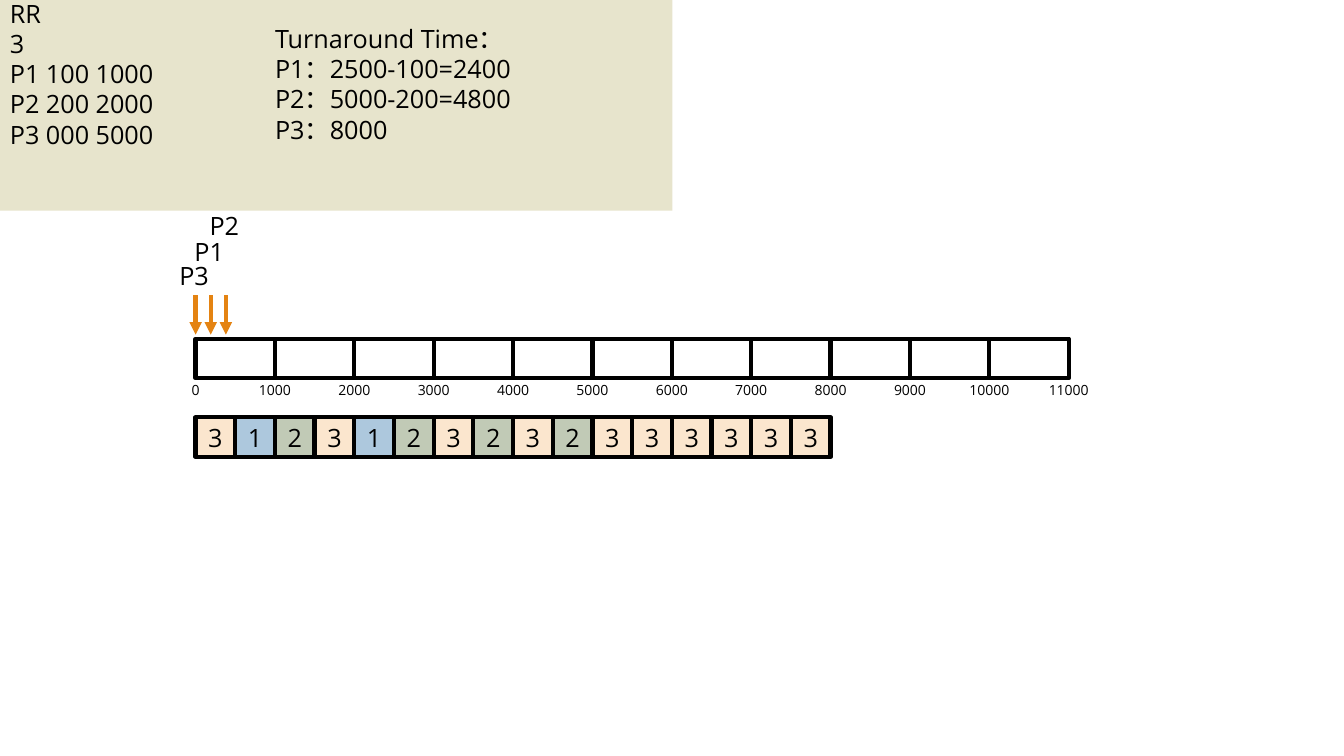
from lxml import etree
from pptx import Presentation
from pptx.dml.color import RGBColor
from pptx.enum.shapes import MSO_CONNECTOR, MSO_SHAPE
from pptx.enum.text import MSO_ANCHOR, MSO_AUTO_SIZE, PP_ALIGN
from pptx.oxml.ns import qn
from pptx.util import Inches, Pt

# Content
JOBS = ["RR", "3", "P1 100 1000", "P2 200 2000", "P3 000 5000"]
TURNAROUND = ["Turnaround Time：", "P1：2500-100=2400", "P2：5000-200=4800", "P3：8000"]
ARRIVALS = [("P3", 2.53), ("P1", 2.3), ("P2", 2.04)]  # process, label top
SCHEDULE = "3123123232333333"
TICK_COUNT, TICK_TIME = 11, 1000

THEME = {
    "font": "Open Sans", "text": "000000", "line": "000000",
    "panel": "E7E4CC", "arrow": "E48312",
    "process": {"1": "ADC8DD", "2": "C1CAB6", "3": "FBE6CE"},
    "body_size": 18, "tick_size": 10, "line_width": 3,
}

# Layout, in inches
AXIS_LEFT, AXIS_TOP, AXIS_WIDTH = 1.94, 3.36, 8.66
TICK_WIDTH = AXIS_WIDTH / TICK_COUNT
SLOT = TICK_WIDTH / 2
TICK_LABEL_TOP, SCHEDULE_TOP = 3.67, 4.14
ARROW_TOP, ARROW_BOTTOM, ARROW_GAP = 2.93, 3.32, 0.15

deck = Presentation()
deck.slide_width, deck.slide_height = Inches(13.33), Inches(7.5)
page = deck.slides.add_slide(deck.slide_layouts[6])


def color(value):
    return RGBColor.from_string(value)


def write(shape, lines, size=THEME["body_size"], centered=False):
    frame = shape.text_frame
    frame.text = "\n".join(lines)
    if centered:
        frame.vertical_anchor = MSO_ANCHOR.MIDDLE
    for para in frame.paragraphs:
        para.alignment = PP_ALIGN.CENTER if centered else PP_ALIGN.LEFT
        for span in para.runs:
            span.font.name = THEME["font"]
            span.font.size = Pt(size)
            span.font.color.rgb = color(THEME["text"])


def add_text(left, top, width, height, lines, wrap=True, grow=True, **style):
    box = page.shapes.add_textbox(Inches(left), Inches(top), Inches(width), Inches(height))
    write(box, lines, **style)
    box.text_frame.word_wrap = wrap
    if grow:
        box.text_frame.auto_size = MSO_AUTO_SIZE.SHAPE_TO_FIT_TEXT


def add_box(left, top, width, height, fill=None, outlined=True):
    box = page.shapes.add_shape(
        MSO_SHAPE.RECTANGLE, Inches(left), Inches(top), Inches(width), Inches(height))
    box.shadow.inherit = False
    if fill:
        box.fill.solid()
        box.fill.fore_color.rgb = color(fill)
    else:
        box.fill.background()
    if outlined:
        box.line.color.rgb = color(THEME["line"])
        box.line.width = Pt(THEME["line_width"])
    else:
        box.line.fill.background()
    return box


def add_arrow(x, top, bottom):
    arrow = page.shapes.add_connector(
        MSO_CONNECTOR.STRAIGHT, Inches(x), Inches(top), Inches(x), Inches(bottom))
    arrow.line.color.rgb = color(THEME["arrow"])
    arrow.line.width = Pt(THEME["line_width"])
    etree.SubElement(arrow.line._get_or_add_ln(), qn("a:tailEnd"), type="triangle")
    etree.SubElement(arrow._element.spPr, qn("a:effectLst"))


# Panel with the job list and turnaround times
add_box(0, 0, 6.67, 2.09, THEME["panel"], outlined=False)
add_text(0, -0.07, 1.97, 1.62, JOBS)
add_text(2.63, 0.18, 2.86, 1.31, TURNAROUND, wrap=False)

# Time axis
for tick in range(TICK_COUNT):
    add_box(AXIS_LEFT + tick * TICK_WIDTH, AXIS_TOP, TICK_WIDTH, SLOT)
for tick in range(TICK_COUNT + 1):
    add_text(AXIS_LEFT + tick * TICK_WIDTH - SLOT, TICK_LABEL_TOP, TICK_WIDTH, SLOT,
             [str(tick * TICK_TIME)], grow=False, size=THEME["tick_size"], centered=True)

# Arrivals
for index, (process, label_top) in enumerate(ARRIVALS):
    x = AXIS_LEFT + index * ARROW_GAP
    add_arrow(x, ARROW_TOP, ARROW_BOTTOM)
    add_text(x - 0.26, label_top, 0.52, 0.4, [process], wrap=False)

# Round-robin schedule
for index, process in enumerate(SCHEDULE):
    slot_box = add_box(AXIS_LEFT + index * SLOT, SCHEDULE_TOP, SLOT, SLOT,
                       THEME["process"][process])
    write(slot_box, [process], centered=True)

deck.save("out.pptx")
